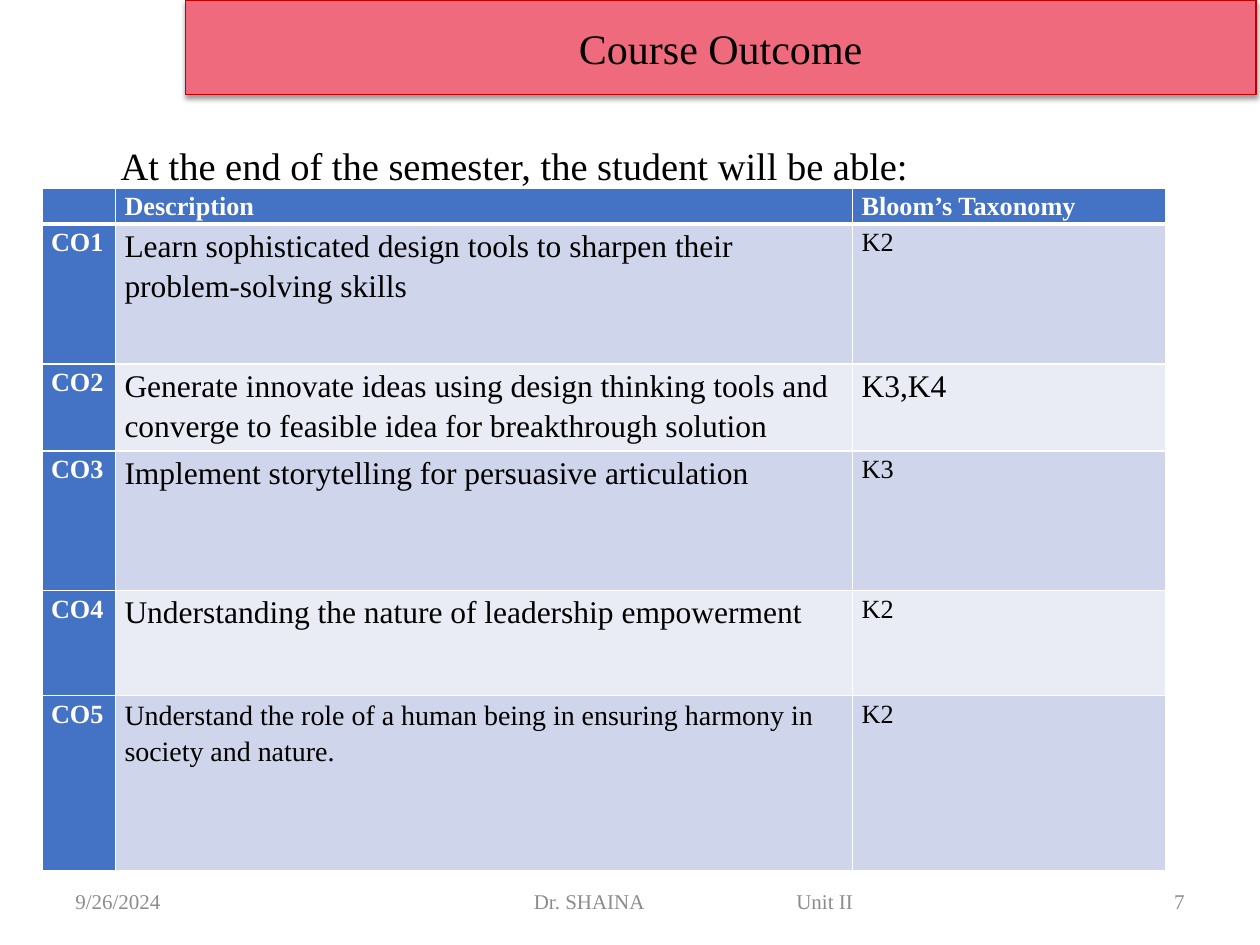
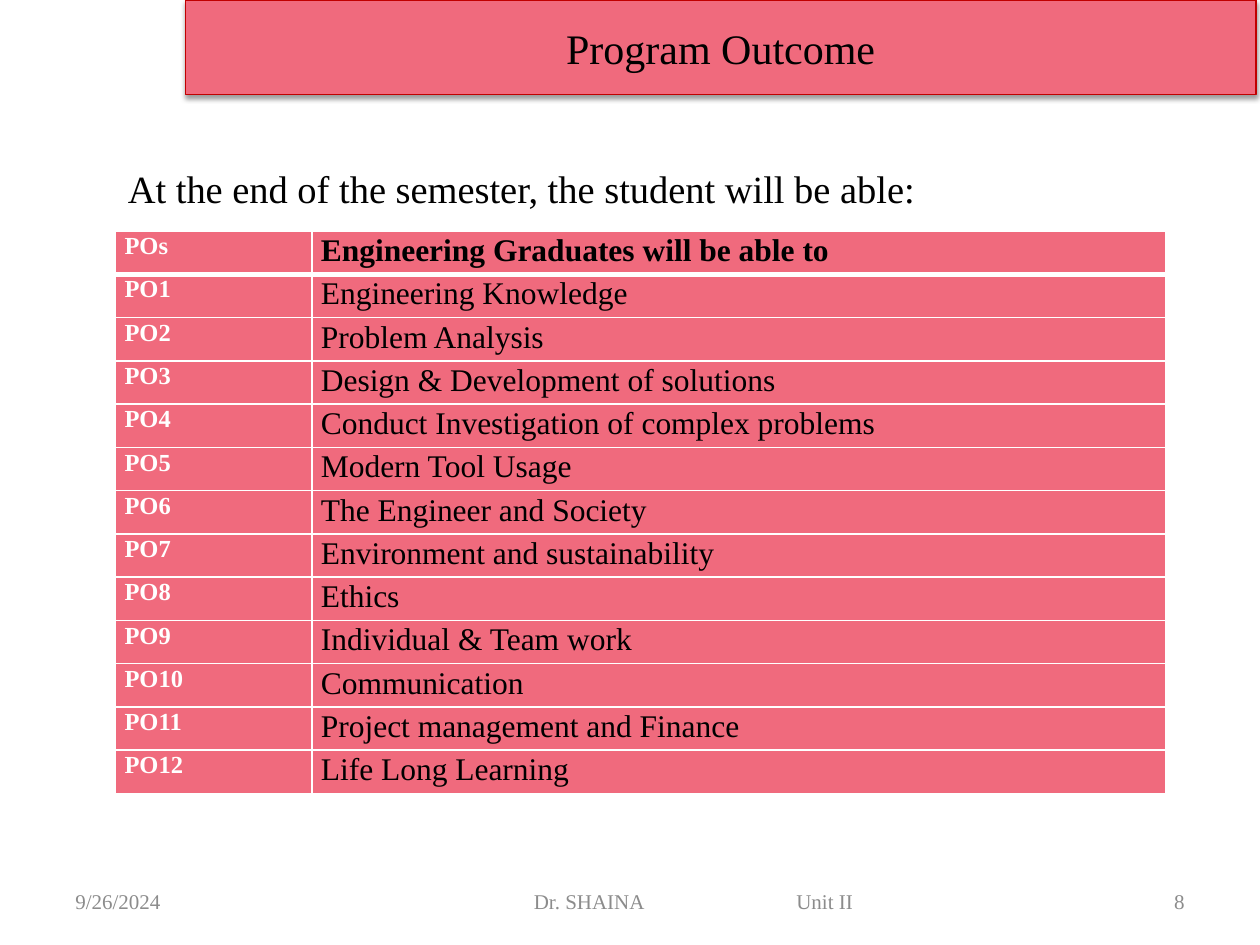
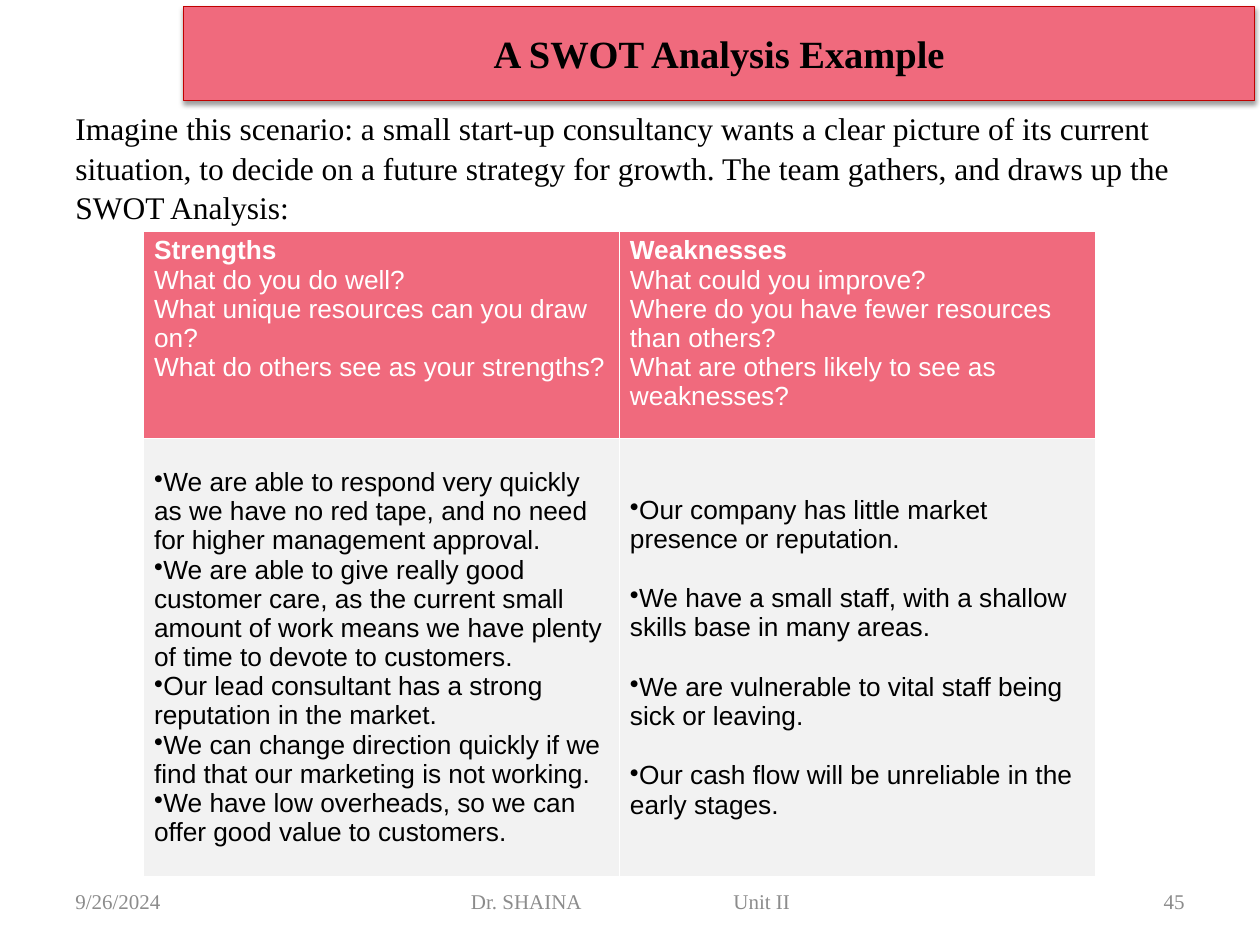
import dataclasses
import lxml.etree
import pptx
import pptx.dml.color
import pptx.enum.shapes
import pptx.enum.text
import pptx.oxml.ns
import pptx.util

Pt = pptx.util.Pt
rgb = pptx.dml.color.RGBColor.from_string
qn = pptx.oxml.ns.qn
sub = lxml.etree.SubElement
ALIGN = pptx.enum.text.PP_ALIGN
MID = pptx.enum.text.MSO_ANCHOR.MIDDLE
TOP = pptx.enum.text.MSO_ANCHOR.TOP


@dataclasses.dataclass(frozen=True)
class Theme:
    serif: str = "Times New Roman"
    sans: str = "Arial"
    ink: str = "000000"
    white: str = "FFFFFF"
    grey: str = "8C8C8C"
    rose: str = "F06A7D"
    edge: str = "C00000"
    blue: str = "4472C4"
    odd: str = "CFD5EA"
    even: str = "E9EBF5"
    pale: str = "F2F2F2"
    title: int = 24
    lead: int = 22
    body: int = 18
    note: int = 16
    cell: int = 15
    code: int = 14
    foot: int = 12


T = Theme()
deck = pptx.Presentation()
deck.slide_width = pptx.util.Inches(10)
deck.slide_height = pptx.util.Inches(7.5)
UNIT = deck.slide_width / 120  # grid of 120 columns by 90 rows


def put(frame, text, size, color=T.ink, bold=False, align=ALIGN.LEFT,
        space=None, font=T.serif, anchor=TOP):
    """Fill a text frame and format its runs."""
    frame.text = text
    frame.word_wrap = True
    frame.vertical_anchor = anchor
    for para in frame.paragraphs:
        para.alignment = align
        para.line_spacing = space
        if not para.runs:
            para._p.get_or_add_endParaRPr().set("sz", str(size * 100))
        for run in para.runs:
            run.font.name, run.font.size, run.font.bold = font, Pt(size), bold
            run.font.color.rgb = rgb(color)


def grid(slide, left, top, cols, rows, inset, thin, thick):
    """Add a table with white rules; thick is the rule below its first row."""
    box = [round(n * UNIT) for n in (left, top, sum(cols), sum(rows))]
    table = slide.shapes.add_table(len(rows), len(cols), *box).table
    for col, width in zip(table.columns, cols):
        col.width = round(width * UNIT)
    for r, height in enumerate(rows):
        table.rows[r].height = round(height * UNIT)
        for cell in table.rows[r].cells:
            cell.margin_left = cell.margin_right = round(inset[0] * UNIT)
            cell.margin_top = cell.margin_bottom = round(inset[1] * UNIT)
            for side in "LRTB":
                wide = (r, side) in ((0, "B"), (1, "T"))
                rule = sub(cell._tc.get_or_add_tcPr(), qn("a:ln" + side),
                           w=str(Pt(thick if wide else thin)))
                sub(sub(rule, qn("a:solidFill")), qn("a:srgbClr"), val=T.white)
            cell.fill.solid()
    return table


# Shared frame: title band and footer
pages = []
for name, size, bold, left, top, num, mid, span in (
        ("Course Outcome", T.title, False, 17.64, 0, "7", 33, 66),
        ("Program Outcome", T.title, False, 17.64, 0, "8", 33, 66),
        ("A SWOT Analysis Example", T.lead, True, 17.5, 0.6, "45", 41, 38)):
    slide = deck.slides.add_slide(deck.slide_layouts[6])
    pages.append(slide)
    band = slide.shapes.add_shape(
        pptx.enum.shapes.MSO_SHAPE.RECTANGLE,
        *[round(n * UNIT) for n in (left, top, 102, 9)])
    band.fill.solid()
    band.fill.fore_color.rgb = rgb(T.rose)
    band.line.color.rgb = rgb(T.edge)
    band.line.width = Pt(0.75)
    band.shadow.inherit = False
    glow = sub(band._element.spPr.find(qn("a:effectLst")), qn("a:outerShdw"),
               blurRad=str(Pt(3.1)), dist=str(Pt(1.6)), dir="5400000",
               rotWithShape="0")
    sub(sub(glow, qn("a:srgbClr"), val=T.ink), qn("a:alpha"), val="38000")
    put(band.text_frame, name, size, bold=bold, align=ALIGN.CENTER, anchor=MID)

    for text, x, width, align in (
            ("9/26/2024", 6, 28, ALIGN.LEFT),
            ("Dr. SHAINA\tUnit II", mid, span, ALIGN.LEFT),
            (num, 86, 28, ALIGN.RIGHT)):
        foot = slide.shapes.add_textbox(
            *[round(n * UNIT) for n in (x, 83.4, width, 4.8)]).text_frame
        put(foot, text, T.foot, T.grey, align=align, anchor=MID)
        if "\t" in text:
            # Two words on a tab stop, centred as a group 30.3 columns wide
            foot.margin_left = round((width - 30.3) / 2 * UNIT)
            foot.margin_right = 0
            stops = sub(foot.paragraphs[0]._p.get_or_add_pPr(), qn("a:tabLst"))
            sub(stops, qn("a:tab"), pos=str(round(25 * UNIT)), algn="l")

course, program, swot = pages

# Lead-in lines
for slide, left, top, width, height, text, size, space in (
        (course, 10.32, 12.24, 102, 6,
         "At the end of the semester, the student will be able:", T.lead, 1.15),
        (program, 11, 14.52, 102, 6,
         "At the end of the semester, the student will be able:", T.lead, 1.15),
        (swot, 6, 9.6, 108, 76.2,
         "Imagine this scenario: a small start-up consultancy wants a clear "
         "picture of its current situation, to decide on a future strategy for "
         "growth. The team gathers, and draws up the SWOT Analysis:",
         T.body, 1.05)):
    lead = slide.shapes.add_textbox(
        *[round(n * UNIT) for n in (left, top, width, height)])
    put(lead.text_frame, text, size, space=space)

# Course outcomes
goals = (
    ("", "Description", "Bloom’s Taxonomy", T.cell, T.cell),
    ("CO1", "Learn sophisticated design tools to sharpen their "
     "problem-solving skills", "K2", T.body, T.cell),
    ("CO2", "Generate innovate ideas using design thinking tools and converge "
     "to feasible idea for breakthrough solution", "K3,K4", T.body, T.body),
    ("CO3", "Implement storytelling for persuasive articulation", "K3",
     T.body, T.cell),
    ("CO4", "Understanding the nature of leadership empowerment", "K2",
     T.body, T.cell),
    ("CO5", "Understand the role of a human being in ensuring harmony in "
     "society and nature.", "K2", T.note, T.cell))
table = grid(course, 4, 17.88, (7, 70.2, 29.84),
             (3.36, 13.32, 6.6, 13.32, 10, 16.7), (0.86, 0), 1, 3)
for r, (code, goal, level, large, small) in enumerate(goals):
    for c, (text, size) in enumerate(
            ((code, T.cell), (goal, large), (level, small))):
        head = r == 0 or c == 0
        cell = table.cell(r, c)
        cell.fill.fore_color.rgb = rgb(
            T.blue if head else T.odd if r % 2 else T.even)
        put(cell.text_frame, text, size, T.white if head else T.ink, head,
            space=1.15)

# Program outcomes
skills = (
    "Engineering Graduates will be able to", "Engineering Knowledge",
    "Problem Analysis", "Design & Development of solutions",
    "Conduct Investigation of complex problems", "Modern Tool Usage",
    "The Engineer and Society", "Environment and sustainability", "Ethics",
    "Individual & Team work", "Communication",
    "Project management and Finance", "Life Long Learning")
table = grid(program, 11, 22, (18.7, 81.3), [4.12] * len(skills),
             (0.86, 0), 1, 3)
for r, skill in enumerate(skills):
    code, text = table.rows[r].cells
    for cell in (code, text):
        cell.fill.fore_color.rgb = rgb(T.rose)
    put(code.text_frame, f"PO{r}" if r else "POs", T.code, T.white, True,
        space=1.07)
    put(text.text_frame, skill, T.body, bold=r == 0, space=1.07)

# Strengths and weaknesses: heading, questions, points, gap between points
sides = (
    ("Strengths",
     ("What do you do well?", "What unique resources can you draw on?",
      "What do others see as your strengths?"),
     ("We are able to respond very quickly as we have no red tape, and no need "
      "for higher management approval.",
      "We are able to give really good customer care, as the current small "
      "amount of work means we have plenty of time to devote to customers.",
      "Our lead consultant has a strong reputation in the market.",
      "We can change direction quickly if we find that our marketing is not "
      "working.",
      "We have low overheads, so we can offer good value to customers."), 0),
    ("Weaknesses",
     ("What could you improve?",
      "Where do you have fewer resources than others?",
      "What are others likely to see as weaknesses?"),
     ("Our company has little market presence or reputation.",
      "We have a small staff, with a shallow skills base in many areas.",
      "We are vulnerable to vital staff being sick or leaving.",
      "Our cash flow will be unreliable in the early stages."), 17.25))
table = grid(swot, 13.68, 22, (45.32, 45.32), (19.8, 41.64),
             (1, 0.5), 0.6, 0.6)
for c, (name, asks, points, gap) in enumerate(sides):
    head, body = table.cell(0, c), table.cell(1, c)
    head.fill.fore_color.rgb = rgb(T.rose)
    body.fill.fore_color.rgb = rgb(T.pale)
    put(head.text_frame, "\v".join((name, *asks)), T.cell, T.white,
        font=T.sans)
    head.text_frame.paragraphs[0].runs[0].font.bold = True
    put(body.text_frame, "\n".join(points), T.cell, font=T.sans)
    body.vertical_anchor = MID
    for n, para in enumerate(body.text_frame.paragraphs):
        if n:
            para.space_before = Pt(gap)
        props = para._p.get_or_add_pPr()
        props.set("marL", "0")
        props.set("indent", "0")
        sub(props, qn("a:buChar"), char="•")

deck.save("out.pptx")
